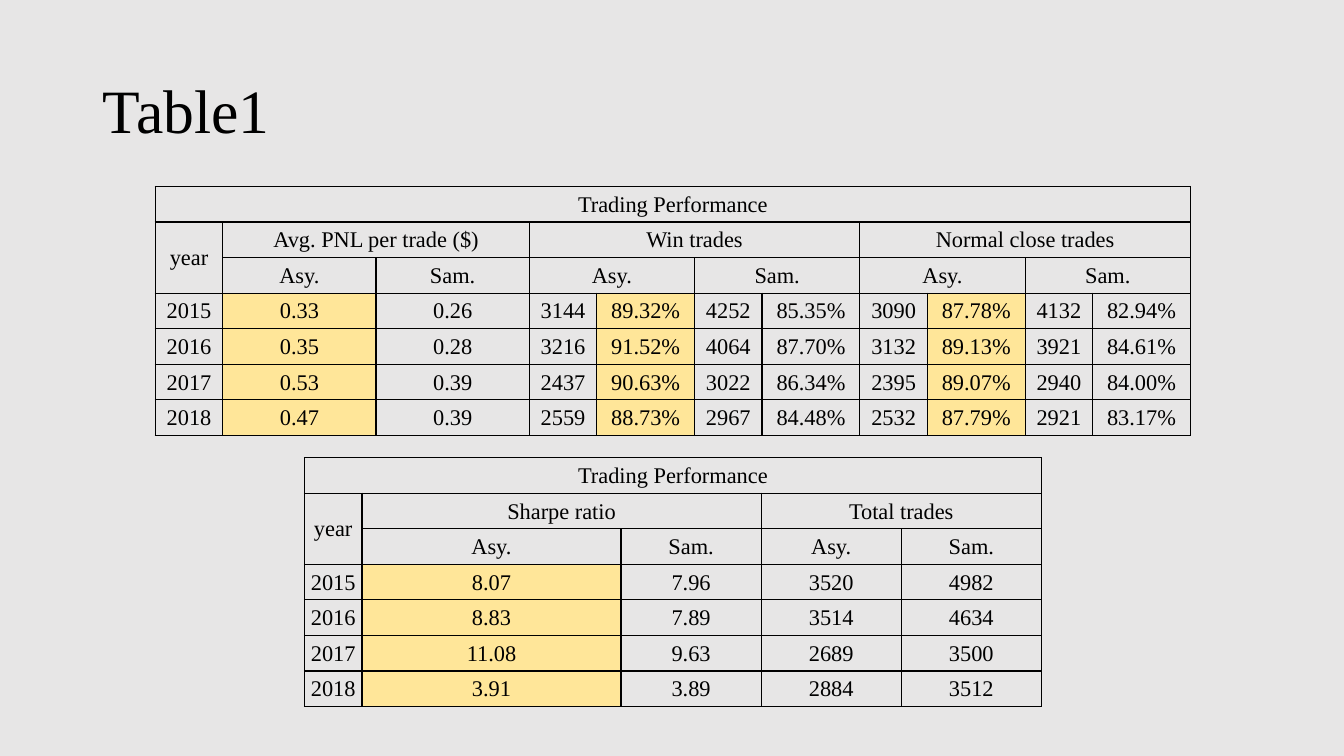
from lxml.etree import fromstring
from pptx import Presentation
from pptx.dml.color import RGBColor
from pptx.enum.text import MSO_ANCHOR, PP_ALIGN
from pptx.oxml.ns import nsdecls
from pptx.util import Inches, Pt

COLORS = {"background": "E7E6E6", "ink": "000000", "highlight": "FFE699"}
FONT = "Times New Roman"
ROW_HEIGHT = 2.47 / 7
HEADER_ROWS = 3


def format_text(frame, size, alignment):
    frame.vertical_anchor = MSO_ANCHOR.MIDDLE
    paragraph = frame.paragraphs[0]
    paragraph.alignment = alignment
    for run in paragraph.runs:
        run.font.size = Pt(size)
        run.font.name = FONT
        run.font.bold = False
        run.font.color.rgb = RGBColor.from_string(COLORS["ink"])


def add_performance_table(left, top, widths, headers, results, highlighted):
    """Each header is (row, column, rows spanned, columns spanned, label)."""
    table = slide.shapes.add_table(
        HEADER_ROWS + len(results), len(widths), Inches(left), Inches(top),
        Inches(sum(widths)), Inches(ROW_HEIGHT * (HEADER_ROWS + len(results)))).table
    table.first_row = table.horz_banding = False
    for column, width in zip(table.columns, widths):
        column.width = Inches(width)
    for row in table.rows:
        row.height = Inches(ROW_HEIGHT)

    for row, column, row_span, column_span, label in headers:
        cell = table.cell(row, column)
        cell.text = label
        if row_span * column_span > 1:
            cell.merge(table.cell(row + row_span - 1, column + column_span - 1))
    for row, result in enumerate(results, HEADER_ROWS):
        for column, value in enumerate(result.split()):
            table.cell(row, column).text = value

    for row in range(len(table.rows)):
        for column in range(len(widths)):
            cell = table.cell(row, column)
            cell.margin_left = cell.margin_right = cell.margin_top = Inches(0.01)
            cell.margin_bottom = 0
            format_text(cell.text_frame, 16, PP_ALIGN.CENTER)
            cell.vertical_anchor = MSO_ANCHOR.MIDDLE
            if row >= HEADER_ROWS and column in highlighted:
                cell.fill.solid()
                cell.fill.fore_color.rgb = RGBColor.from_string(COLORS["highlight"])
            else:
                cell.fill.background()
            properties = cell._tc.get_or_add_tcPr()
            for position, side in enumerate("LRTB"):
                properties.insert(position, fromstring(
                    f'<a:ln{side} {nsdecls("a")} w="{Pt(1)}"><a:solidFill>'
                    f'<a:srgbClr val="{COLORS["ink"]}"/></a:solidFill></a:ln{side}>'))


presentation = Presentation()
presentation.slide_width = Inches(13.33)
presentation.slide_height = Inches(7.5)
slide = presentation.slides.add_slide(presentation.slide_layouts[5])
slide.background.fill.solid()
slide.background.fill.fore_color.rgb = RGBColor.from_string(COLORS["background"])

title = slide.shapes.title
title.left, title.top = Inches(0.92), Inches(0.4)
title.width, title.height = Inches(11.5), Inches(1.45)
title.text_frame.text = "Table1"
title.text_frame.paragraphs[0].line_spacing = 0.9
format_text(title.text_frame, 44, PP_ALIGN.LEFT)

trade_headers = [
    (0, 0, 1, 11, "Trading Performance"),
    (1, 0, 2, 1, "year"),
    (1, 1, 1, 2, "Avg. PNL per trade ($)"),
    (1, 3, 1, 4, "Win trades"),
    (1, 7, 1, 4, "Normal close trades"),
    (2, 1, 1, 1, "Asy."),
    (2, 2, 1, 1, "Sam."),
]
for group_start in (3, 7):
    trade_headers += [(2, group_start, 1, 2, "Asy."), (2, group_start + 2, 1, 2, "Sam.")]
trade_results = [
    "2015 0.33 0.26 3144 89.32% 4252 85.35% 3090 87.78% 4132 82.94%",
    "2016 0.35 0.28 3216 91.52% 4064 87.70% 3132 89.13% 3921 84.61%",
    "2017 0.53 0.39 2437 90.63% 3022 86.34% 2395 89.07% 2940 84.00%",
    "2018 0.47 0.39 2559 88.73% 2967 84.48% 2532 87.79% 2921 83.17%",
]
add_performance_table(1.54, 1.85, [0.67, 1.52, 1.52] + [0.67, 0.97] * 4,
                      trade_headers, trade_results, highlighted=(1, 4, 8))

ratio_headers = [
    (0, 0, 1, 5, "Trading Performance"),
    (1, 0, 2, 1, "year"),
    (1, 1, 1, 2, "Sharpe ratio"),
    (1, 3, 1, 2, "Total trades"),
]
for group_start in (1, 3):
    ratio_headers += [(2, group_start, 1, 1, "Asy."), (2, group_start + 1, 1, 1, "Sam.")]
ratio_results = [
    "2015 8.07 7.96 3520 4982",
    "2016 8.83 7.89 3514 4634",
    "2017 11.08 9.63 2689 3500",
    "2018 3.91 3.89 2884 3512",
]
add_performance_table(3.02, 4.54, [0.57, 2.57] + [1.39] * 3,
                      ratio_headers, ratio_results, highlighted=(1,))

presentation.save("out.pptx")
